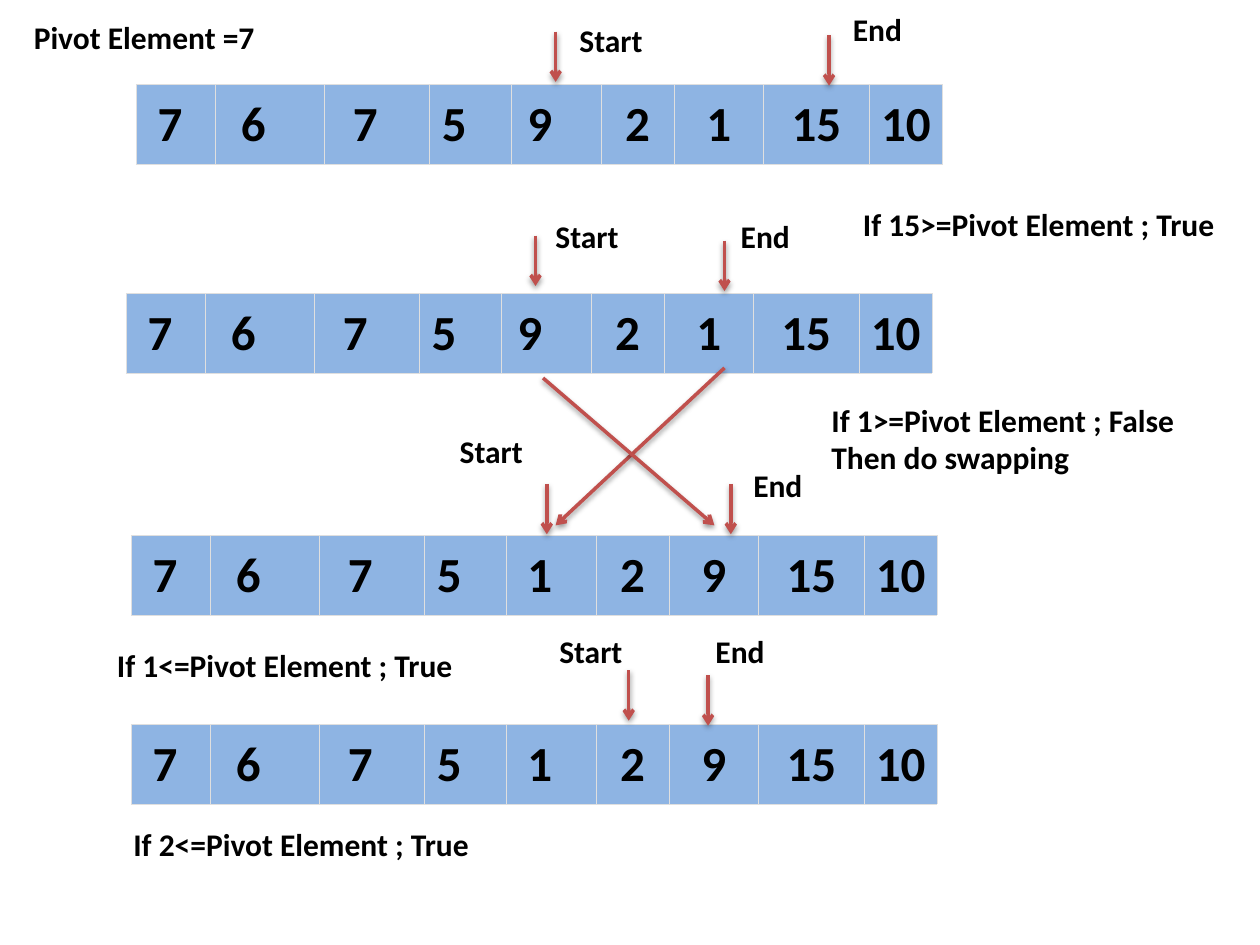
"""Build a slide tracing the partition step of quicksort."""
from lxml import etree
from pptx import Presentation
from pptx.dml import color
from pptx.enum import shapes, text
from pptx.oxml import ns
from pptx.util import Inches, Pt

COLORS = {"cell": "8EB4E3", "border": "DFDFDF", "arrow": "C0504D", "ink": "000000"}
FONT = "Calibri"
WIDTHS = [0.63, 0.86, 0.84, 0.65, 0.71, 0.58, 0.71, 0.84, 0.58]
ROW_HEIGHT = 0.63
ARROW_LENGTH = 0.4
PADDING = 0.08
LEFT_INSETS = [0.13] + [PADDING] * 8
BEFORE_SWAP = [7, 6, 7, 5, 9, 2, 1, 15, 10]
AFTER_SWAP = [7, 6, 7, 5, 1, 2, 9, 15, 10]
SHIFTED = [0.22, 0.34, 0.26, 0.34]
RIGHT_BEFORE = SHIFTED + [0.34] + [PADDING] * 4
RIGHT_AFTER = SHIFTED + [0.26] + [PADDING] * 4


def rgb(name):
    """Return the named palette colour."""
    return color.RGBColor.from_string(COLORS[name])


def element(parent, tag, **attributes):
    """Append a drawing element and return it."""
    return etree.SubElement(parent, ns.qn("a:" + tag), attributes)


def style(para, size):
    """Set the bold black type of a paragraph."""
    for span in para.runs:
        span.font.name = FONT
        span.font.size = Pt(size)
        span.font.bold = True
        span.font.color.rgb = rgb("ink")


def add_label(page, words, left, top, width, height=0.4):
    """Place a bold text label."""
    box = page.shapes.add_textbox(Inches(left), Inches(top), Inches(width), Inches(height))
    box.text_frame.word_wrap = False
    box.text_frame.text = words
    for para in box.text_frame.paragraphs:
        style(para, 18)


def add_arrow(page, start, end):
    """Draw an open-headed arrow with a soft shadow."""
    points = [Inches(value) for value in (*start, *end)]
    arrow = page.shapes.add_connector(shapes.MSO_CONNECTOR.STRAIGHT, *points)
    arrow.line.width = Pt(2)
    arrow.line.color.rgb = rgb("arrow")
    element(arrow.line._get_or_add_ln(), "tailEnd", type="arrow")
    effects = element(arrow._element.spPr, "effectLst")
    shadow = element(effects, "outerShdw", blurRad=str(Pt(3.1)), dist=str(Pt(1.6)),
                     dir="5400000", rotWithShape="0")
    shade = element(shadow, "srgbClr", val=COLORS["ink"])
    element(shade, "alpha", val="38000")


def add_borders(cell):
    """Outline a cell with hairlines."""
    properties = cell._tc.get_or_add_tcPr()
    for index, side in enumerate(("lnL", "lnR", "lnT", "lnB")):
        border = element(properties, side, w=str(Pt(0.18)))
        fill = element(border, "solidFill")
        element(fill, "srgbClr", val=COLORS["border"])
        properties.insert(index, border)


def add_array(page, left, top, values, right_insets):
    """Place one array as a single-row table."""
    frame = page.shapes.add_table(1, len(values), Inches(left), Inches(top),
                                  Inches(sum(WIDTHS)), Inches(ROW_HEIGHT))
    table = frame.table
    table.first_row = table.horz_banding = False
    table.rows[0].height = Inches(ROW_HEIGHT)
    for index, value in enumerate(values):
        table.columns[index].width = Inches(WIDTHS[index])
        cell = table.cell(0, index)
        cell.text = str(value)
        cell.vertical_anchor = text.MSO_ANCHOR.MIDDLE
        cell.margin_left = Inches(LEFT_INSETS[index])
        cell.margin_right = Inches(right_insets[index])
        cell.margin_top = cell.margin_bottom = Inches(PADDING)
        cell.fill.solid()
        cell.fill.fore_color.rgb = rgb("cell")
        para = cell.text_frame.paragraphs[0]
        para.alignment = text.PP_ALIGN.CENTER
        style(para, 28)
        add_borders(cell)


def add_pointer(page, name, label, tip):
    """Place a named pointer: its label and its downward arrow."""
    add_label(page, name, *label, {"Start": 0.71, "End": 0.59}[name])
    add_arrow(page, (tip[0], tip[1] - ARROW_LENGTH), tip)


def add_step(page, left, top, array, start, end):
    """Place one step: the array with its start and end pointers."""
    add_array(page, left, top, *array)
    add_pointer(page, "Start", *start)
    add_pointer(page, "End", *end)


def add_swap(page):
    """Cross two arrows between the second and third arrays."""
    add_arrow(page, (5.75, 2.92), (4.41, 4.17))
    add_arrow(page, (4.31, 3), (5.67, 4.17))


def add_notes(page):
    """Place the pivot and the comparison made at each step."""
    add_label(page, "Pivot Element =7", 0.17, 0.09, 1.97)
    add_label(page, "If 15>=Pivot Element ; True", 6.75, 1.58, 3.08)
    add_label(page, "If 1>=Pivot Element ; False\nThen do swapping", 6.5, 3.13, 2.95, 0.71)
    add_label(page, "If 1<=Pivot Element ; True", 0.83, 5.08, 2.95)
    add_label(page, "If 2<=Pivot Element ; True", 0.96, 6.5, 2.95)


def main():
    """Build and save the deck."""
    deck = Presentation()
    deck.slide_width, deck.slide_height = Inches(10), Inches(7.5)
    page = deck.slides.add_slide(deck.slide_layouts[6])
    before = (BEFORE_SWAP, RIGHT_BEFORE)
    after = (AFTER_SWAP, RIGHT_AFTER)
    steps = [
        (1.08, 0.67, before, ((4.5, 0.12), (4.41, 0.65)), ((6.67, 0.03), (6.58, 0.68))),
        (1, 2.33, before, ((4.31, 1.67), (4.25, 2.27)), ((5.78, 1.67), (5.75, 2.31))),
        (1.04, 4.25, after, ((3.55, 3.38), (4.34, 4.24)), ((5.88, 3.65), (5.8, 4.24))),
        (1.04, 5.75, after, ((4.34, 4.97), (4.99, 5.72)), ((5.58, 4.97), (5.62, 5.76))),
    ]
    for step in steps:
        add_step(page, *step)
    add_swap(page)
    add_notes(page)
    deck.save("out.pptx")


if __name__ == "__main__":
    main()
